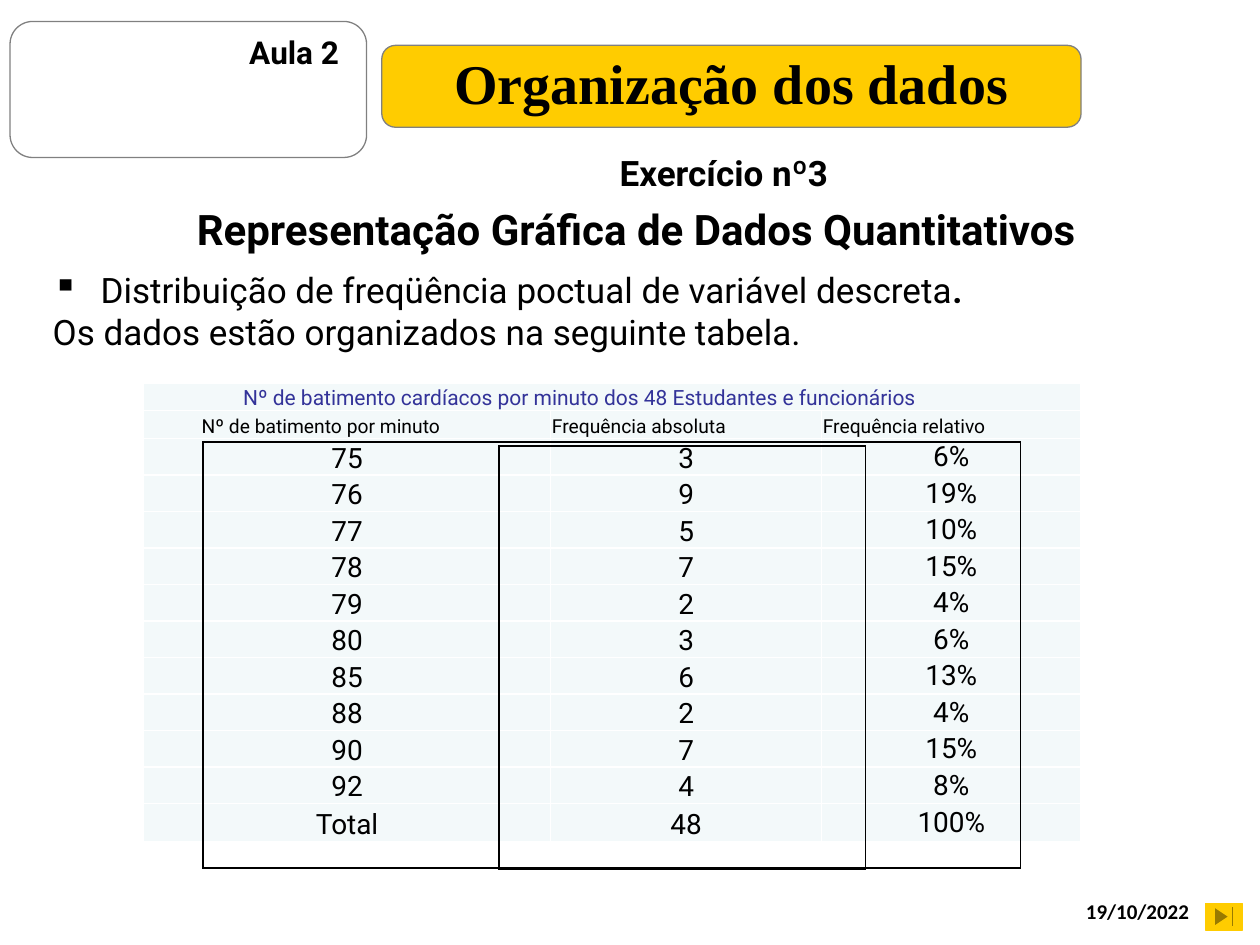
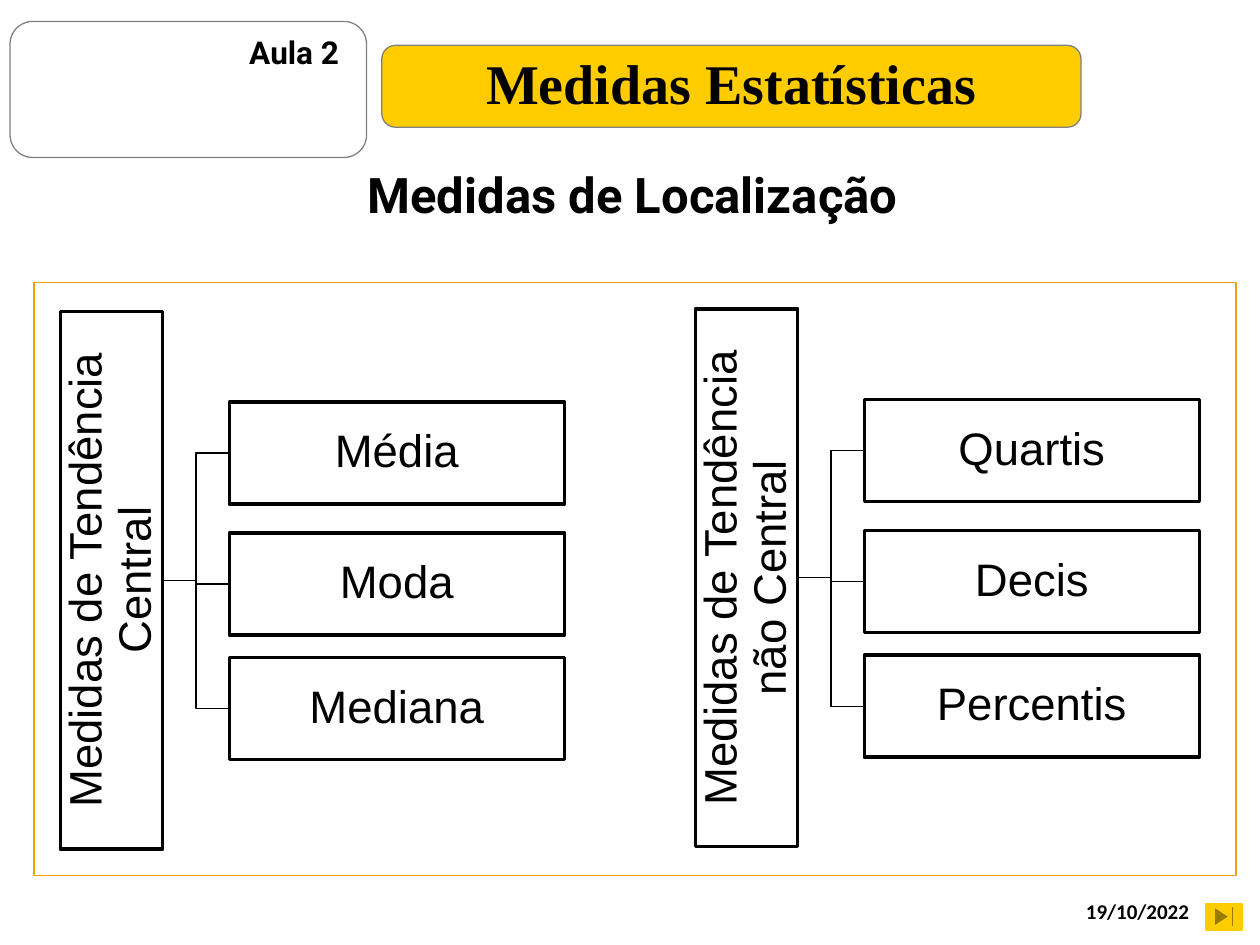
"""Build two statistics slides: a frequency table and a map of location measures."""
from lxml.etree import SubElement
from pptx import Presentation
from pptx.dml.color import RGBColor
from pptx.enum.shapes import MSO_CONNECTOR, MSO_SHAPE
from pptx.enum.text import MSO_ANCHOR as Anchor, PP_ALIGN as Align
from pptx.oxml.ns import qn
from pptx.util import Inches, Pt

BLACK, WHITE, GRAY = "000000", "FFFFFF", "808080"
YELLOW, ORANGE, PALE, INDIGO = "FFCC00", "F2A10E", "F3F9FA", "333399"
TITLE_FONT, BODY_FONT, DATE_FONT, BOX_FONT = "Times New Roman", "Roboto", "Calibri", "Arial"

TABLE_TITLE = "Nº de batimento cardíacos por minuto dos 48 Estudantes e funcionários"
HEADERS = ["Nº de batimento por minuto", "Frequência absoluta", "Frequência relativo"]
FREQUENCIES = [
    ("75", "3", "6%"), ("76", "9", "19%"), ("77", "5", "10%"), ("78", "7", "15%"),
    ("79", "2", "4%"), ("80", "3", "6%"), ("85", "6", "13%"), ("88", "2", "4%"),
    ("90", "7", "15%"), ("92", "4", "8%"), ("Total", "48", "100%"),
]
COLUMN_WIDTHS = [3.23, 2.15, 2.06]
ROW_HEIGHTS = [0.22] * 2 + [0.29] * 10 + [0.3]

BOX_HEIGHT, ROOT_LENGTH, LEAF_WIDTH = 0.81, 4.27, 2.66
LEAF_OFFSETS = [0.72, 1.76, 2.75]


def rgb(hex_color):
    """Turn a hex string into a colour."""
    return RGBColor.from_string(hex_color)


def inches(*lengths):
    """Convert several lengths to inches."""
    return [Inches(length) for length in lengths]


def write(paragraph, text, size=20, font=BODY_FONT, color=BLACK, bold=False,
          align=Align.LEFT, spacing=None):
    """Add one formatted run to a paragraph."""
    paragraph.alignment = align
    if spacing:
        paragraph.line_spacing = spacing
    run = paragraph.add_run()
    run.text = text
    run.font.size, run.font.name, run.font.bold = Pt(size), font, bold
    run.font.color.rgb = rgb(color)


def add_text(slide, box, text="", anchor=Anchor.TOP, wrap=True, **style):
    """Add a text box and return its text frame."""
    frame = slide.shapes.add_textbox(*inches(*box)).text_frame
    frame.word_wrap, frame.vertical_anchor = wrap, anchor
    if text:
        write(frame.paragraphs[0], text, **style)
    return frame


def add_shape(slide, kind, box, line, fill=None, line_width=0.75):
    """Add a preset shape without shadow."""
    shape = slide.shapes.add_shape(kind, *inches(*box))
    shape.shadow.inherit = False
    if fill:
        shape.fill.solid()
        shape.fill.fore_color.rgb = rgb(fill)
    else:
        shape.fill.background()
    shape.line.color.rgb = rgb(line)
    shape.line.width = Pt(line_width)
    return shape


def add_lesson_slide(presentation, title_text):
    """Add a slide with the shared header, date and button."""
    slide = presentation.slides.add_slide(presentation.slide_layouts[5])
    add_shape(slide, MSO_SHAPE.ROUNDED_RECTANGLE, (0.08, 0.17, 2.83, 1.08), GRAY)
    band_box = (3.03, 0.36, 5.55, 0.65)
    band = add_shape(slide, MSO_SHAPE.ROUNDED_RECTANGLE, band_box, GRAY, YELLOW)
    title = slide.shapes.title
    band.element.addnext(title.element)
    title.left, title.top, title.width, title.height = inches(*band_box)
    title.text_frame.vertical_anchor = Anchor.MIDDLE
    write(title.text_frame.paragraphs[0], title_text, size=32, font=TITLE_FONT,
          bold=True, align=Align.CENTER, spacing=0.9)
    add_shape(slide, MSO_SHAPE.ACTION_BUTTON_END, (9.57, 7.17, 0.29, 0.21), YELLOW, YELLOW)
    add_text(slide, (8.52, 7.03, 1.14, 0.4), "19/10/2022", Anchor.MIDDLE,
             size=12, font=DATE_FONT, bold=True)
    add_text(slide, (1.88, 0.21, 1, 0.4), "Aula 2", Anchor.MIDDLE, size=18, bold=True)
    return slide


def add_bullet(paragraph, character, indent):
    """Give a paragraph a hanging bullet."""
    properties = paragraph._p.get_or_add_pPr()
    properties.set("marL", str(Inches(indent)))
    properties.set("indent", str(-Inches(indent)))
    SubElement(properties, qn("a:buChar"), char=character)


def format_cell(cell, border, fill=None):
    """Set the borders and fill of a table cell."""
    properties = cell._tc.get_or_add_tcPr()
    for side in ("a:lnL", "a:lnR", "a:lnT", "a:lnB"):
        line = SubElement(properties, qn(side), w=str(Pt(1)))
        SubElement(SubElement(line, qn("a:solidFill")), qn("a:srgbClr"), val=border)
    if fill:
        cell.fill.solid()
        cell.fill.fore_color.rgb = rgb(fill)
    else:
        cell.fill.background()


def add_table(slide, left, top, widths, heights, border, fill=None):
    """Add an unbanded table with even borders."""
    table = slide.shapes.add_table(len(heights), len(widths),
                                   *inches(left, top, sum(widths), sum(heights))).table
    table.first_row = table.horz_banding = False
    for column, width in zip(table.columns, widths):
        column.width = Inches(width)
    for row, height in zip(table.rows, heights):
        row.height = Inches(height)
    for cell in table.iter_cells():
        format_cell(cell, border, fill)
    return table


def fill_cell(cell, text, indent=0.01, anchor=Anchor.BOTTOM, **style):
    """Write text in a table cell with narrow margins."""
    cell.margin_left, cell.margin_right, cell.margin_top, cell.margin_bottom = inches(
        indent, 0.01, 0.01, 0)
    cell.vertical_anchor = anchor
    write(cell.text_frame.paragraphs[0], text, **style)


def add_frequency_table(slide):
    """Add the heartbeat table and the frames over it."""
    table = add_table(slide, 1.14, 3.04, COLUMN_WIDTHS, ROW_HEIGHTS, WHITE, PALE)
    table.cell(0, 0).merge(table.cell(0, 2))
    fill_cell(table.cell(0, 0), TABLE_TITLE, indent=0.79, size=12, color=INDIGO)
    for column, header in enumerate(HEADERS):
        fill_cell(table.cell(1, column), header, indent=0.01 if column else 0.46, size=11)
    for row, values in enumerate(FREQUENCIES, start=2):
        for column, value in enumerate(values):
            fill_cell(table.cell(row, column), value, size=16, align=Align.CENTER,
                      anchor=Anchor.MIDDLE if column == 2 else Anchor.BOTTOM)
    add_table(slide, 1.61, 3.51, [6.49], [3.38], BLACK)
    add_table(slide, 3.96, 3.54, [2.91], [3.36], BLACK)


def add_box(slide, box, text, rotation=0):
    """Add a framed box with a centred label."""
    shape = add_shape(slide, MSO_SHAPE.RECTANGLE, box, BLACK, WHITE, 2)
    shape.rotation = rotation
    frame = shape.text_frame
    frame.word_wrap, frame.vertical_anchor = True, Anchor.MIDDLE
    frame.margin_left = frame.margin_right = Inches(0.02)
    frame.margin_top = frame.margin_bottom = Inches(0.02)
    write(frame.paragraphs[0], text, size=26, font=BOX_FONT, align=Align.CENTER, spacing=0.9)


def add_elbow(slide, *ends):
    """Add a bent line between two points."""
    connector = slide.shapes.add_connector(MSO_CONNECTOR.ELBOW, *inches(*ends))
    connector.line.color.rgb = rgb(BLACK)
    connector.line.width = Pt(0.75)
    SubElement(connector.element.spPr, qn("a:effectLst"))


def add_measure_tree(slide, left, top, root, leaves):
    """Add an upright root box joined to its leaf boxes."""
    root_right, leaf_left = left + BOX_HEIGHT, left + 1.34
    middle = top + ROOT_LENGTH / 2
    for offset in LEAF_OFFSETS:
        add_elbow(slide, root_right, middle, leaf_left, top + offset + BOX_HEIGHT / 2)
    add_box(slide, (left + (BOX_HEIGHT - ROOT_LENGTH) / 2, middle - BOX_HEIGHT / 2,
                    ROOT_LENGTH, BOX_HEIGHT), root, rotation=270)
    for offset, leaf in zip(LEAF_OFFSETS, leaves):
        add_box(slide, (leaf_left, top + offset, LEAF_WIDTH, BOX_HEIGHT), leaf)


def build_exercise_slide(presentation):
    """Build the slide with the frequency distribution."""
    slide = add_lesson_slide(presentation, "Organização dos dados")
    add_text(slide, (4.6, 1.15, 2.29, 0.44), "Exercício nº3", bold=True, align=Align.CENTER)
    add_text(slide, (0.25, 1.57, 9.6, 0.5), "Representação Gráfica de Dados Quantitativos",
             size=24, bold=True, align=Align.CENTER)
    frame = add_text(slide, (0.32, 2.08, 8.56, 0.77))
    bullet = frame.paragraphs[0]
    write(bullet, "Distribuição de freqüência poctual de variável descreta")
    write(bullet, ".", bold=True)
    add_bullet(bullet, "▪", 0.38)
    write(frame.add_paragraph(), "Os dados estão organizados na seguinte tabela.")
    add_frequency_table(slide)


def build_measures_slide(presentation):
    """Build the slide with the location measures."""
    slide = add_lesson_slide(presentation, "Medidas Estatísticas")
    add_shape(slide, MSO_SHAPE.RECTANGLE, (0.27, 2.24, 9.54, 4.71), ORANGE)
    add_text(slide, (2.68, 1.31, 4.68, 0.53), "Medidas de Localização", wrap=False,
             size=28, bold=True, align=Align.CENTER, spacing=0.9)
    add_measure_tree(slide, 0.48, 2.47, "Medidas de Tendência Central",
                     ["Média", "Moda", "Mediana"])
    add_measure_tree(slide, 5.52, 2.45, "Medidas de Tendência não Central",
                     ["Quartis", "Decis", "Percentis"])


def main():
    """Build and save the presentation."""
    presentation = Presentation()
    presentation.slide_width, presentation.slide_height = inches(10, 7.5)
    build_exercise_slide(presentation)
    build_measures_slide(presentation)
    presentation.save("out.pptx")


if __name__ == "__main__":
    main()
